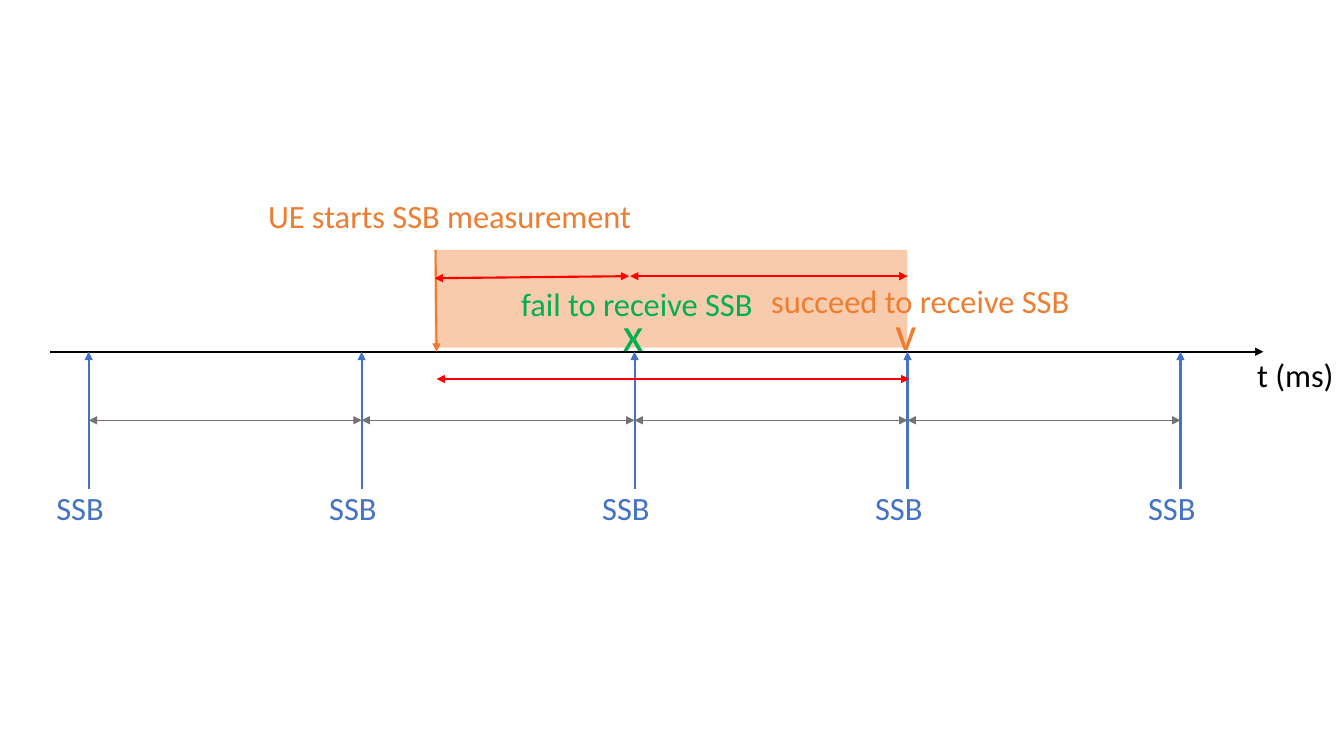
from dataclasses import dataclass

from lxml import etree
from pptx import Presentation
from pptx.dml.color import RGBColor
from pptx.enum import shapes, text
from pptx.oxml import ns
from pptx.slide import Slide
from pptx.util import Inches, Pt

BLACK = RGBColor(0x00, 0x00, 0x00)
BLUE = RGBColor(0x44, 0x72, 0xC4)
GRAY = RGBColor(0x76, 0x71, 0x71)
GREEN = RGBColor(0x00, 0xB0, 0x50)
ORANGE = RGBColor(0xED, 0x7D, 0x31)
PEACH = RGBColor(0xF8, 0xCB, 0xAD)
RED = RGBColor(0xFF, 0x00, 0x00)

FONT = "Calibri"
LABEL_SIZE = 23.2
MARK_SIZE = 33.9

AXIS_Y = 3.49
SSB_BOTTOM = 4.85
PERIOD_Y = 4.17
FIRST_SSB_X = 0.88
SSB_PERIOD = 2.707
SSB_COUNT = 5
WINDOW_LEFT, WINDOW_TOP = 4.31, 2.48
WINDOW_WIDTH, WINDOW_HEIGHT = 4.69, 0.97


@dataclass(frozen=True)
class Arrow:
    start: tuple[float, float]
    end: tuple[float, float]
    color: RGBColor
    width: float = 1.5
    both_ends: bool = False


@dataclass(frozen=True)
class Label:
    words: str
    left: float
    top: float
    width: float
    color: RGBColor
    height: float = 0.49
    size: float = LABEL_SIZE


def draw_arrow(slide: Slide, arrow: Arrow) -> None:
    connector = slide.shapes.add_connector(
        shapes.MSO_CONNECTOR.STRAIGHT,
        *(Inches(value) for value in arrow.start + arrow.end),
    )
    connector.line.color.rgb = arrow.color
    connector.line.width = Pt(arrow.width)
    line = connector.line._get_or_add_ln()
    ends = ("a:headEnd", "a:tailEnd") if arrow.both_ends else ("a:tailEnd",)
    for end in ends:
        etree.SubElement(line, ns.qn(end), type="triangle")
    etree.SubElement(connector._element.spPr, ns.qn("a:effectLst"))


def draw_label(slide: Slide, label: Label) -> None:
    box = slide.shapes.add_textbox(
        Inches(label.left), Inches(label.top),
        Inches(label.width), Inches(label.height),
    )
    frame = box.text_frame
    frame.word_wrap = False
    frame.auto_size = text.MSO_AUTO_SIZE.SHAPE_TO_FIT_TEXT
    paragraph = frame.paragraphs[0]
    paragraph.text = label.words
    paragraph.font.name = FONT
    paragraph.font.size = Pt(label.size)
    paragraph.font.color.rgb = label.color


def draw_measurement_window(slide: Slide) -> None:
    window = slide.shapes.add_shape(
        shapes.MSO_SHAPE.RECTANGLE,
        Inches(WINDOW_LEFT), Inches(WINDOW_TOP),
        Inches(WINDOW_WIDTH), Inches(WINDOW_HEIGHT),
    )
    window.shadow.inherit = False
    window.fill.solid()
    window.fill.fore_color.rgb = PEACH
    window.line.fill.background()


def draw_ssb_bursts(slide: Slide) -> None:
    """Draw the periodic SSB arrows, their names and the periods between them."""
    for index in range(SSB_COUNT):
        x = FIRST_SSB_X + index * SSB_PERIOD
        draw_arrow(slide, Arrow((x, SSB_BOTTOM), (x, AXIS_Y), BLUE))
        draw_label(slide, Label("SSB", x - 0.42, 4.79, 0.68, BLUE))
        if index < SSB_COUNT - 1:
            draw_arrow(slide, Arrow((x, PERIOD_Y), (x + SSB_PERIOD, PERIOD_Y),
                                    GRAY, width=1, both_ends=True))


TIME_AXIS = Arrow((0.5, AXIS_Y), (12.53, AXIS_Y), BLACK)

MEASUREMENT_ARROWS = (
    Arrow((4.32, WINDOW_TOP), (4.33, AXIS_Y), ORANGE),
    Arrow((4.33, 3.76), (9.02, 3.76), RED, both_ends=True),
    Arrow((WINDOW_LEFT, 2.76), (6.24, 2.74), RED, both_ends=True),
    Arrow((6.25, 2.74), (9, 2.74), RED, both_ends=True),
)

LABELS = (
    Label("t (ms)", 12.37, 3.47, 0.97, BLACK),
    Label("UE starts SSB measurement", 2.56, 1.9, 3.85, ORANGE),
    Label("x", 6.08, 2.97, 0.41, GREEN, height=0.67, size=MARK_SIZE),
    Label("fail to receive SSB", 5.07, 2.77, 2.53, GREEN),
    Label("v", 8.78, 2.96, 0.42, ORANGE, height=0.67, size=MARK_SIZE),
    Label("succeed to receive SSB", 7.55, 2.74, 3.2, ORANGE),
)


def main() -> None:
    deck = Presentation()
    deck.slide_width = Inches(13.33)
    deck.slide_height = Inches(7.5)
    slide = deck.slides.add_slide(deck.slide_layouts[6])

    draw_measurement_window(slide)
    draw_arrow(slide, TIME_AXIS)
    draw_ssb_bursts(slide)
    for arrow in MEASUREMENT_ARROWS:
        draw_arrow(slide, arrow)
    for label in LABELS:
        draw_label(slide, label)

    deck.save("out.pptx")


if __name__ == "__main__":
    main()
